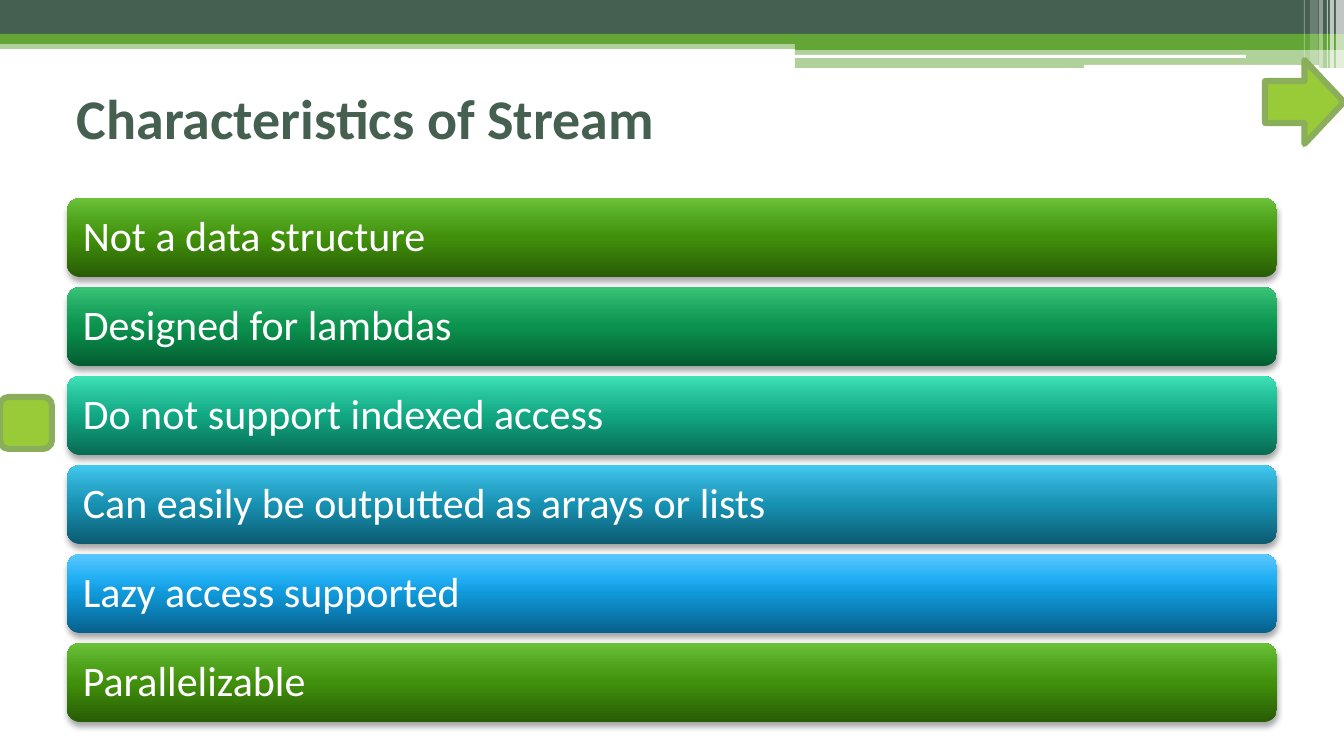
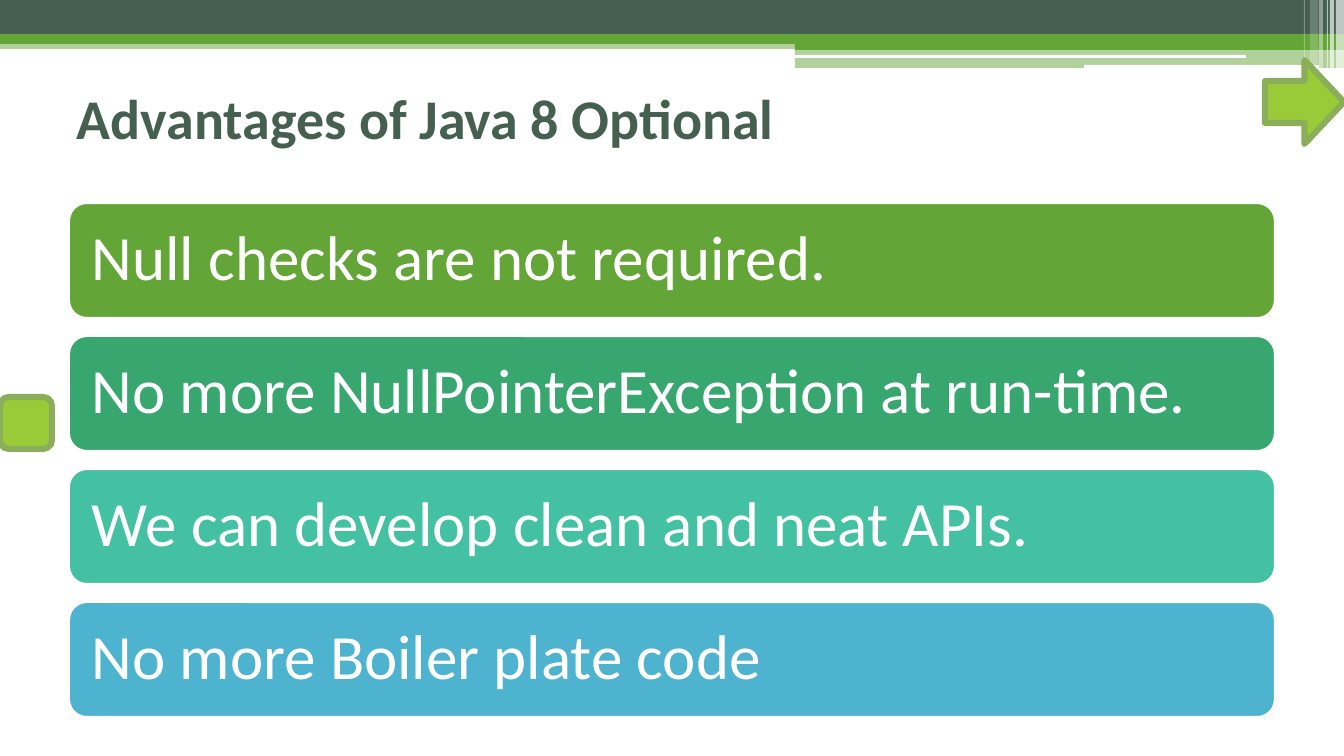
import dataclasses
import itertools

import lxml.etree
import pptx
import pptx.dml.color
import pptx.enum.shapes
import pptx.enum.text
import pptx.oxml.ns
import pptx.util

SLIDE_WIDTH, SLIDE_HEIGHT = 1344, 756
EMU_PER_PX = 12192000 / SLIDE_WIDTH
SHAPES = pptx.enum.shapes.MSO_SHAPE
ANCHOR = pptx.enum.text.MSO_ANCHOR


@dataclasses.dataclass(frozen=True)
class Theme:
    """Colours, font and type sizes of the deck."""
    font: str = "Calibri"
    dark: str = "455F51"
    green: str = "63A537"
    lime: str = "99CB38"
    lime_edge: str = "8AAE59"
    white: str = "FFFFFF"
    shadow: str = "000000"
    title_size: int = 40
    compact_size: int = 30
    large_size: int = 45
    edge_width: float = 4.33
    gradient_stops: tuple = (0, 50, 70, 100)
    gradients: tuple = (
        ("285C05", "41900C", "4FA21C", "6AC339"),
        ("045D31", "0B924E", "1BA45E", "39C578"),
        ("086B53", "11A783", "22BC96", "3DE2B7"),
        ("0C5B71", "1791B2", "28A5C9", "42C8F0"),
        ("06608B", "1099DA", "22AFF4", "5DC8FF"),
    )
    flats: tuple = ("63A537", "37A76F", "44C1A3", "4EB3CF")


THEME = Theme()


def px(length):
    """Turn px into EMU."""
    return pptx.util.Emu(round(length * EMU_PER_PX))


def rgb(code):
    """Turn a hex code into a colour."""
    return pptx.dml.color.RGBColor.from_string(code)


def add_xml(parent, tag, **attributes):
    """Append a DrawingML element and return it."""
    names = {key: str(value) for key, value in attributes.items()}
    return lxml.etree.SubElement(parent, pptx.oxml.ns.qn(tag), names)


def write(host, text, *, size, color, bold=False, inset=10, spacing=1.0):
    """Write one left-aligned, vertically centred paragraph in a shape."""
    frame = host.text_frame
    frame.word_wrap = True
    frame.auto_size = pptx.enum.text.MSO_AUTO_SIZE.NONE
    frame.vertical_anchor = ANCHOR.MIDDLE
    frame.margin_left = frame.margin_right = px(inset)
    frame.margin_top = frame.margin_bottom = 0
    paragraph = frame.paragraphs[0]
    paragraph.alignment = pptx.enum.text.PP_ALIGN.LEFT
    paragraph.line_spacing = spacing
    run = paragraph.add_run()
    run.text = text
    run.font.name = THEME.font
    run.font.size = pptx.util.Pt(size)
    run.font.bold = bold
    run.font.color.rgb = rgb(color)


def add_block(slide, kind, box, fill, *, opacity=100, edge=None):
    """Add a flat preset shape, optionally see-through or outlined."""
    block = slide.shapes.add_shape(kind, *map(px, box))
    block.shadow.inherit = False
    block.fill.solid()
    block.fill.fore_color.rgb = rgb(fill)
    if opacity < 100:
        color = next(block.element.spPr.iter(pptx.oxml.ns.qn("a:srgbClr")))
        add_xml(color, "a:alpha", val=opacity * 1000)
    if edge:
        block.line.color.rgb = rgb(edge)
        block.line.width = pptx.util.Pt(THEME.edge_width)
    else:
        block.line.fill.background()
    return block


def add_gloss(bar, colors):
    """Give a bar a vertical gradient and a soft shadow below."""
    bar.fill.gradient()
    bar.fill.gradient_angle = 90
    properties = bar.element.spPr
    stops = next(properties.iter(pptx.oxml.ns.qn("a:gsLst")))
    for stop in list(stops):
        stops.remove(stop)
    for position, color in zip(THEME.gradient_stops, colors):
        stop = add_xml(stops, "a:gs", pos=position * 1000)
        add_xml(stop, "a:srgbClr", val=color)
    effects = properties.find(pptx.oxml.ns.qn("a:effectLst"))
    shadow = add_xml(effects, "a:outerShdw", blurRad=pptx.util.Pt(4),
                     dist=pptx.util.Pt(3), dir=5400000, rotWithShape=0)
    color = add_xml(shadow, "a:srgbClr", val=THEME.shadow)
    add_xml(color, "a:alpha", val=35000)


def draw_bands(slide, left, top, width):
    """Draw the header bands, white rules and right-hand streaks."""
    step = left + 795
    right = left + width
    bands = [
        (left, 40, width, 9, THEME.green, 50),
        (left, 0, width, 34, THEME.dark, 100),
        (left, 34, width, 10, THEME.green, 100),
        (step, 39, right - step, 11, THEME.green, 100),
        (step, 50, right - step, 18, THEME.green, 50),
    ]
    rules = [(step, 55, 451, 3), (step + 289, 65, 235, 4)]
    streaks = [(8, 8, 69, 65), (14, 4, 69, 65), (17, 1, 69, 60),
               (25, 4, 69, 40), (34, 8, 65, 20), (40, 1, 65, 30)]
    blocks = [add_block(slide, SHAPES.RECTANGLE, (x, top + y, w, h), color,
                        opacity=opacity)
              for x, y, w, h, color, opacity in bands]
    blocks += [add_block(slide, SHAPES.ROUNDED_RECTANGLE, (x, top + y, w, h),
                         THEME.white)
               for x, y, w, h in rules]
    blocks += [add_block(slide, SHAPES.RECTANGLE, (right - back, top, w, h),
                         THEME.white, opacity=opacity)
               for back, w, h, opacity in streaks]
    return blocks


def draw_markers(slide, left, top, width):
    """Draw the arrow at the right edge and the square at the left edge."""
    markers = [(SHAPES.RIGHT_ARROW, (left + width - 79, top + 60, 79, 84)),
               (SHAPES.ROUNDED_RECTANGLE, (left, top + 397, 52, 52))]
    return [add_block(slide, kind, box, THEME.lime, edge=THEME.lime_edge)
            for kind, box in markers]


def decorate_layout(layout, slide):
    """Move the shared decoration from a slide to the back of its layout."""
    decoration = (draw_bands(slide, 0, 0, SLIDE_WIDTH)
                  + draw_markers(slide, 0, 0, SLIDE_WIDTH))
    for place, part in enumerate(decoration, start=2):
        layout.shapes.element.insert(place, part.element)


def place_title(slide, text, box):
    """Move the title placeholder into its box and write the title."""
    title = slide.shapes.title
    title.left, title.top, title.width, title.height = map(px, box)
    write(title, text, size=THEME.title_size, color=THEME.dark, bold=True)


def stack_bars(slide, box, lines, *, gap, size, inset, glossy):
    """Fill a box with equal rounded bars, one for each line."""
    left, top, width, height = box
    bar_height = (height - gap * (len(lines) - 1)) / len(lines)
    palette = itertools.cycle(zip(THEME.flats, THEME.gradients)
                              if not glossy else
                              ((colors[1], colors)
                               for colors in THEME.gradients))
    for index, (line, (flat, gradient)) in enumerate(zip(lines, palette)):
        bar_top = top + index * (bar_height + gap)
        bar = add_block(slide, SHAPES.ROUNDED_RECTANGLE,
                        (left, bar_top, width, bar_height), flat,
                        edge=None if glossy else THEME.white)
        if glossy:
            add_gloss(bar, gradient)
        write(bar, line, size=size, color=THEME.white, inset=inset,
              spacing=0.9)


def build_list_slide(slide, title, lines, box, **style):
    """Build a slide with a title over a stack of bars."""
    place_title(slide, title, (67, 58, 1210, 118))
    stack_bars(slide, box, lines, **style)


def main():
    """Build and save the deck."""
    deck = pptx.Presentation()
    deck.slide_width, deck.slide_height = px(SLIDE_WIDTH), px(SLIDE_HEIGHT)
    layout = deck.slide_layouts[5]
    characteristics = deck.slides.add_slide(layout)
    decorate_layout(layout, characteristics)
    build_list_slide(
        characteristics, "Characteristics of Stream",
        ["Not a data structure", "Designed for lambdas",
         "Do not support indexed access",
         "Can easily be outputted as arrays or lists",
         "Lazy access supported", "Parallelizable"],
        (67, 198, 1210, 524),
        gap=10, size=THEME.compact_size, inset=12, glossy=True)
    advantages = deck.slides.add_slide(layout)
    build_list_slide(
        advantages, "Advantages of Java 8 Optional",
        ["Null checks are not required.",
         "No more NullPointerException at run-time.",
         "We can develop clean and neat APIs.",
         "No more Boiler plate code"],
        (67, 201, 1210, 518),
        gap=14, size=THEME.large_size, inset=19, glossy=False)
    deck.save("out.pptx")


if __name__ == "__main__":
    main()
